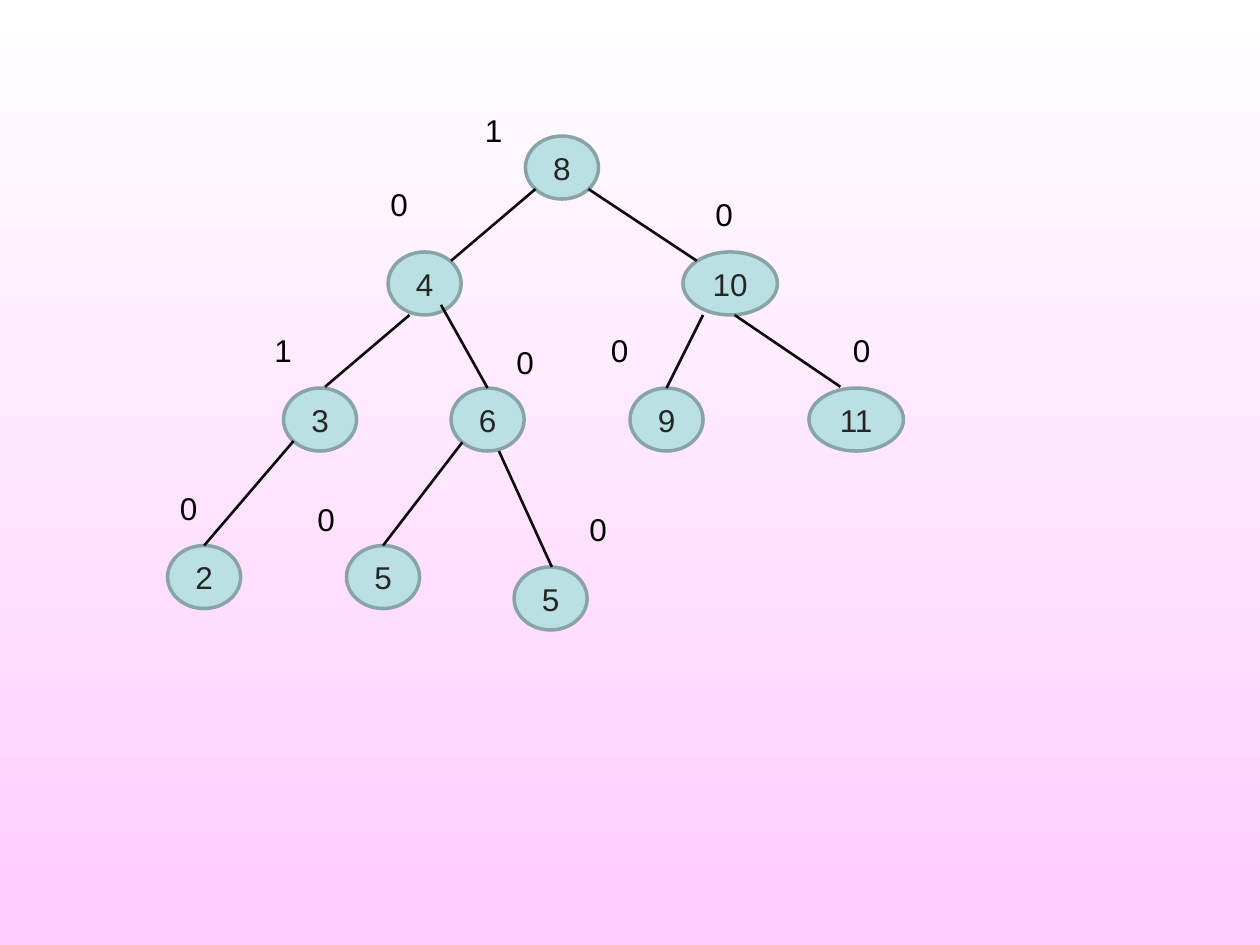
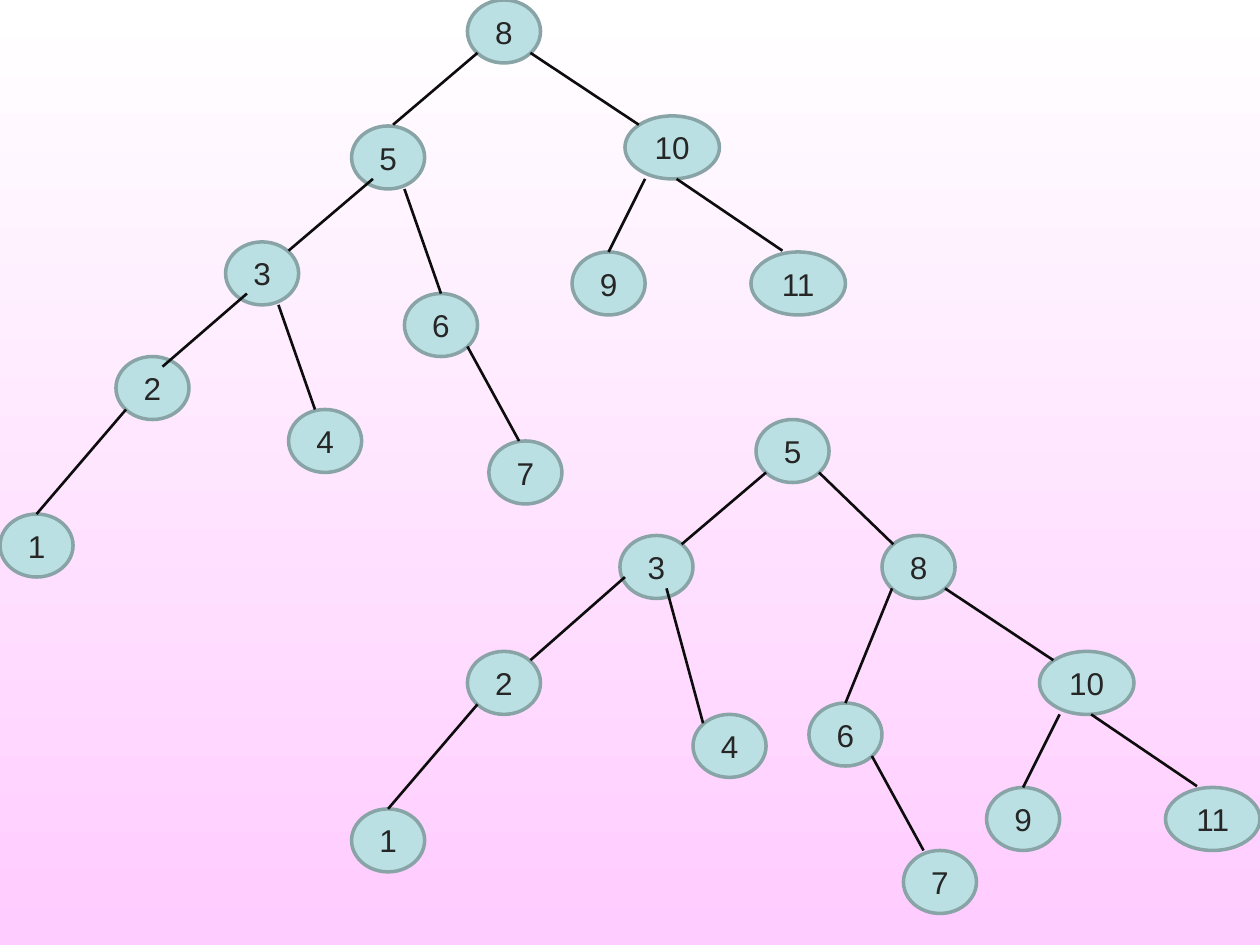
from dataclasses import dataclass

from lxml import etree
from pptx import Presentation
from pptx.dml.color import RGBColor
from pptx.enum.shapes import MSO_CONNECTOR, MSO_SHAPE
from pptx.enum.text import MSO_ANCHOR, MSO_AUTO_SIZE, PP_ALIGN
from pptx.oxml.ns import qn
from pptx.util import Pt

PX = 9144  # 100 px to the inch
SLIDE_W, SLIDE_H = 1000, 750
NODE_W, WIDE_NODE_W, NODE_H = 58, 75, 50
LABEL_W, LABEL_H = 42, 40
COLORS = {
    "bg_top": "FFFFFF",
    "bg_bottom": "FFCCFF",
    "node": "BBE0E3",
    "node_line": "89A4A7",
    "key": "262626",
    "edge": "0D0D0D",
    "balance": "000000",
}
FONT = {"name": "Arial", "size": Pt(18)}


@dataclass
class Branch:
    """A subtree; offset, start and end are measured from its parent's corner."""
    key: str
    offset: tuple = (0, 0)
    start: tuple = (0, 0)
    end: tuple = (0, 0)
    children: tuple = ()


def leaf_left(key):
    return Branch(key, (-92, 125), (8, 42), (-63, 125))


def leaf_right(key, dx):
    return Branch(key, (dx, 117), (50, 42), (91, 117))


# The right side of the 8 is the same in every tree.
TEN = Branch("10", (125, 92), (50, 42), (136, 99), (
    Branch("9", (-42, 108), (16, 50), (-13, 108)),
    Branch("11", (100, 108), (41, 50), (125, 107)),
))

DELETION_TREE = Branch("8", children=(
    Branch("4", (-109, 92), (8, 42), (-59, 99), (
        Branch("3", (-83, 108), (17, 50), (-50, 107), (leaf_left("2"),)),
        Branch("6", (50, 108), (42, 42), (79, 108), (
            Branch("5", (-83, 125), (9, 43), (-54, 125)),
            Branch("5", (50, 142), (38, 50), (80, 142)),
        )),
    )),
    TEN,
))
BALANCES = [
    ("1", -42, -25), ("0", -117, 34), ("0", 141, 42), ("1", -209, 150),
    ("0", -17, 159), ("0", 58, 150), ("0", 250, 150), ("0", -284, 275),
    ("0", -175, 284), ("0", 41, 292),
]

LEFT_HEAVY_TREE = Branch("8", children=(
    Branch("5", (-92, 100), (8, 42), (-59, 99), (
        Branch("3", (-100, 92), (17, 42), (-50, 99), (
            Branch("2", (-87, 91), (17, 41), (-50, 99), (leaf_left("1"),)),
            Branch("4", (50, 133), (42, 50), (71, 133)),
        )),
        Branch("6", (42, 133), (42, 50), (71, 133), (leaf_right("7", 67),)),
    )),
    TEN,
))

ROTATED_TREE = Branch("5", children=(
    Branch("3", (-108, 92), (8, 42), (-59, 99), (
        Branch("2", (-121, 92), (4, 33), (-71, 99), (leaf_left("1"),)),
        Branch("4", (58, 142), (37, 42), (66, 149)),
    )),
    Branch("8", (100, 92), (50, 42), (109, 99), (
        Branch("6", (-58, 133), (8, 42), (-29, 133), (leaf_right("7", 75),)),
        TEN,
    )),
))


def rgb(name):
    return RGBColor.from_string(COLORS[name])


def px(*lengths):
    return [n * PX for n in lengths]


def write(tf, text, color, align):
    p = tf.paragraphs[0]
    p.alignment = align
    r = p.add_run()
    r.text = text
    for name, value in FONT.items():
        setattr(r.font, name, value)
    r.font.color.rgb = rgb(color)


def add_node(slide, key, x, y):
    w = WIDE_NODE_W if len(key) > 1 else NODE_W
    sp = slide.shapes.add_shape(MSO_SHAPE.OVAL, *px(x, y, w, NODE_H))
    sp.shadow.inherit = False
    sp.fill.solid()
    sp.fill.fore_color.rgb = rgb("node")
    sp.line.color.rgb = rgb("node_line")
    sp.line.width = Pt(2)
    sp.text_frame.vertical_anchor = MSO_ANCHOR.MIDDLE
    write(sp.text_frame, key, "key", PP_ALIGN.CENTER)


def add_edge(slide, x1, y1, x2, y2):
    line = slide.shapes.add_connector(MSO_CONNECTOR.STRAIGHT, *px(x1, y1, x2, y2))
    line.line.color.rgb = rgb("edge")
    line.line.width = Pt(1.5)
    etree.SubElement(line._element.spPr, qn("a:effectLst"))


def add_tree(slide, tree, x, y):
    """Draws the tree with its root's corner at x, y."""
    add_node(slide, tree.key, x, y)
    for child in tree.children:
        dx, dy = child.offset
        add_tree(slide, child, x + dx, y + dy)
        (x1, y1), (x2, y2) = child.start, child.end
        add_edge(slide, x + x1, y + y1, x + x2, y + y2)


def add_balances(slide, balances, x, y):
    for text, dx, dy in balances:
        box = slide.shapes.add_textbox(*px(x + dx, y + dy, LABEL_W, LABEL_H))
        tf = box.text_frame
        tf.word_wrap = True
        tf.auto_size = MSO_AUTO_SIZE.SHAPE_TO_FIT_TEXT
        write(tf, text, "balance", PP_ALIGN.LEFT)


def set_background(master):
    fill = master.background.fill
    fill.gradient()
    fill.gradient_angle = 270
    for stop, name in zip(fill.gradient_stops, ("bg_top", "bg_bottom")):
        stop.color.rgb = rgb(name)


def deletion_slide(slide):
    root = (417, 108)
    add_tree(slide, DELETION_TREE, *root)
    add_balances(slide, BALANCES, *root)


def rotation_slide(slide):
    add_tree(slide, LEFT_HEAVY_TREE, 371, 0)
    add_tree(slide, ROTATED_TREE, 600, 333)


def main():
    prs = Presentation()
    prs.slide_width, prs.slide_height = px(SLIDE_W, SLIDE_H)
    set_background(prs.slide_master)
    for build in (deletion_slide, rotation_slide):
        build(prs.slides.add_slide(prs.slide_layouts[6]))
    prs.save("out.pptx")


if __name__ == "__main__":
    main()
